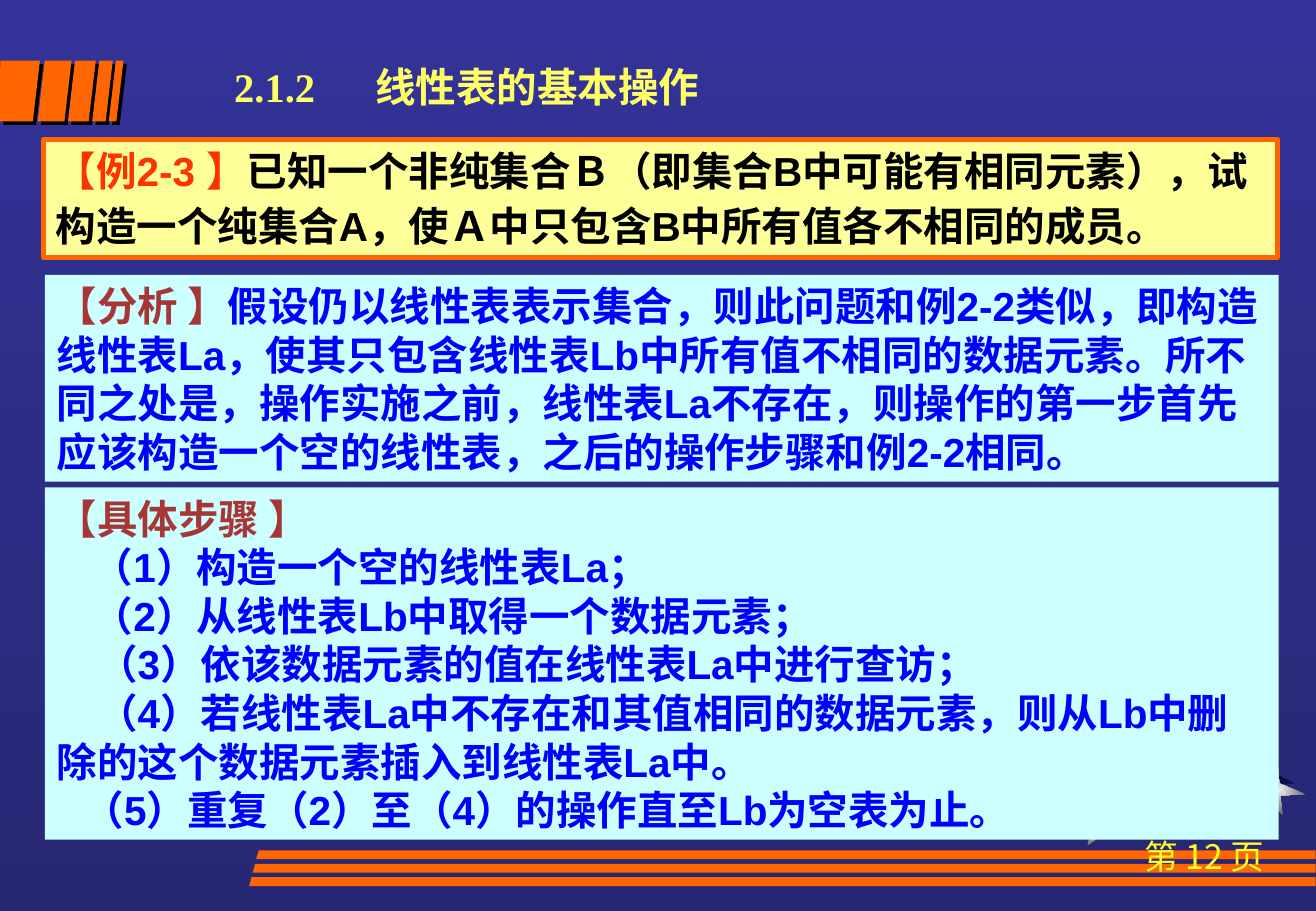
"""Build the slide on example 2-3, a basic operation on linear lists."""
from lxml.etree import SubElement
from pptx import Presentation
from pptx.dml.color import RGBColor as RGB
from pptx.enum.shapes import MSO_SHAPE as SHAPE
from pptx.enum.text import PP_ALIGN as ALIGN
from pptx.oxml import parse_xml
from pptx.oxml.ns import nsdecls, qn
from pptx.util import Pt

COLORS = {
    "sky_top": "333399", "sky_bottom": "272775", "orange": "FF6600",
    "title": "FFFF66", "page": "FFFF25", "cream": "FFFF99", "cyan": "CCFFFF",
    "red": "FF3300", "brown": "A73737", "blue": "0000FF", "black": "000000",
    "navy_dark": "060A2F", "navy": "0D1565",
    "silver": "EAEAEA", "gray": "6C6C6C",
}
SMALL_STAR = [(0, 10.8), (12.24, 8.64), (14.4, 0), (20, 7.2), (32.4, 4.5),
              (23, 11.5), (28, 18), (17.3, 15.5), (8.3, 22.3), (10.8, 13.7)]
BIG_STAR = [(0, 1.8), (15.8, 7.9), (24.5, 0.4), (25.5, 11.9), (41, 18.4),
            (26, 19), (27.4, 30.6), (17, 19.4), (2, 20), (10.6, 12.6)]
STARS = [
    (SMALL_STAR, 627.1, 474.5, "navy_dark", "navy"),
    (BIG_STAR, 727.2, 446, "navy_dark", "navy"),
    (SMALL_STAR, 636.5, 478.8, "silver", "gray"),
    (BIG_STAR, 733, 452.5, "silver", "gray"),
]
PROBLEM = ("已知一个非纯集合Ｂ（即集合B中可能有相同元素），"
           "试构造一个纯集合A，使Ａ中只包含B中所有值各不相同的成员。")
ANALYSIS = ("假设仍以线性表表示集合，则此问题和例2-2类似，即构造线性表La，"
            "使其只包含线性表Lb中所有值不相同的数据元素。所不同之处是，操作实施之前，"
            "线性表La不存在，则操作的第一步首先应该构造一个空的线性表，"
            "之后的操作步骤和例2-2相同。")
STEPS = [
    ("（1）构造一个空的线性表La；", 21.5),
    ("（2）从线性表Lb中取得一个数据元素；", 21.5),
    ("（3）依该数据元素的值在线性表La中进行查访；", 24),
    ("（4）若线性表La中不存在和其值相同的数据元素，"
     "则从Lb中删除的这个数据元素插入到线性表La中。", 24),
    ("（5）重复（2）至（4）的操作直至Lb为空表为止。", 16),
]


def rgb(name):
    return RGB.from_string(COLORS[name])


def paint_background(s):
    fill = s.background.fill
    fill.gradient()
    fill.gradient_angle = 270
    for stop, name in zip(fill.gradient_stops, ("sky_top", "sky_bottom")):
        stop.color.rgb = rgb(name)


def add_outline(s, points, color="orange"):
    builder = s.shapes.build_freeform(*(Pt(v) for v in points[0]))
    builder.add_line_segments([(Pt(x), Pt(y)) for x, y in points[1:]])
    sp = builder.convert_to_shape()
    sp.shadow.inherit = False
    sp.fill.solid()
    sp.fill.fore_color.rgb = rgb(color)
    sp.line.fill.background()
    return sp


def add_star(s, points, left, top, inner, outer):
    sp = add_outline(s, [(left + x, top + y) for x, y in points])
    grad = parse_xml(
        f'<a:gradFill {nsdecls("a")}><a:gsLst>'
        f'<a:gs pos="0"><a:srgbClr val="{COLORS[inner]}"/></a:gs>'
        f'<a:gs pos="100000"><a:srgbClr val="{COLORS[outer]}"/></a:gs></a:gsLst>'
        '<a:path path="rect"><a:fillToRect l="50000" t="50000" r="50000" b="50000"/>'
        '</a:path></a:gradFill>')
    props = sp.element.spPr
    props.replace(props.find(qn("a:solidFill")), grad)


def add_slash(s, left, width, slant=4.2):
    right = left + width
    sp = add_outline(s, [(max(left + slant, 0), 36), (right + slant, 36),
                         (right, 72), (max(left, 0), 72)])
    effects = sp.element.spPr.find(qn("a:effectLst"))
    shadow = SubElement(effects, qn("a:outerShdw"), blurRad="0",
                        dist=str(Pt(2.8)), dir="2700000", algn="ctr", rotWithShape="0")
    SubElement(shadow, qn("a:srgbClr"), val=COLORS["black"])


def add_run(p, text, color="blue", size=24, font="Arial", bold=True):
    r = p.add_run()
    r.text = text
    r.font.size, r.font.bold, r.font.name = Pt(size), bold, font
    r.font.color.rgb = rgb(color)
    for tag, face in (("a:ea", "Noto Sans CJK SC"), ("a:cs", font)):
        SubElement(r.font._element, qn(tag), typeface=face)


def add_label(s, text, left, top, width, height, align=ALIGN.LEFT,
              inset=3.6, tab=None, **style):
    box = s.shapes.add_textbox(Pt(left), Pt(top), Pt(width), Pt(height))
    tf = box.text_frame
    tf.word_wrap = True
    tf.margin_top = Pt(inset)
    p = tf.paragraphs[0]
    p.alignment = align
    if tab:
        tabs = SubElement(p._p.get_or_add_pPr(), qn("a:tabLst"))
        SubElement(tabs, qn("a:tab"), pos=str(Pt(tab)), algn="l")
    add_run(p, text, **style)


def add_panel(s, top, height, fill, left=26.6):
    sp = s.shapes.add_shape(SHAPE.RECTANGLE, Pt(left), Pt(top), Pt(731.5), Pt(height))
    sp.shadow.inherit = False
    sp.fill.solid()
    sp.fill.fore_color.rgb = rgb(fill)
    sp.line.fill.background()
    tf = sp.text_frame
    tf.word_wrap = True
    p = tf.paragraphs[0]
    p.alignment = ALIGN.LEFT
    return sp, p


def add_decoration(s):
    for star in STARS:
        add_star(s, *star)
    for left, width in ((-4, 23.5), (22.3, 15.9), (40.3, 12.3), (54.7, 8), (64.5, 4.5)):
        add_slash(s, left, width)
    for i in range(3):
        left, top = 151.9 - 2.1 * i, 504 + 8 * i
        add_outline(s, [(left, top + 5.3), (780, top + 5.3),
                        (780, top), (left + 1.5, top)])


def main():
    prs = Presentation()
    prs.slide_width, prs.slide_height = Pt(780.2), Pt(540)
    s = prs.slides.add_slide(prs.slide_layouts[6])
    paint_background(s)
    add_decoration(s)
    add_label(s, "第 12 页", 648, 492, 132, 60, align=ALIGN.CENTER,
              color="page", size=20, font="Noto Sans CJK SC", bold=False)
    add_label(s, "2.1.2\t线性表的基本操作", 131.8, 36, 432, 41.8, inset=0.6,
              tab=83.7, color="title", font="Times New Roman")

    sp, p = add_panel(s, 82.8, 69.8, "cream", left=25.9)
    sp.line.color.rgb = rgb("orange")
    sp.line.width = Pt(3)
    add_run(p, "【例2-3 】", "red")
    add_run(p, PROBLEM, "black")
    add_run(p, " ", size=28)

    sp, p = add_panel(s, 162.9, 122.6, "cyan")
    add_run(p, "【分析 】", "brown")
    add_run(p, ANALYSIS)

    sp, p = add_panel(s, 289, 208.8, "cyan")
    add_run(p, "【具体步骤 】", "brown")
    for text, indent in STEPS:
        p = sp.text_frame.add_paragraph()
        p.alignment = ALIGN.LEFT
        p._p.get_or_add_pPr().set("indent", str(Pt(indent)))
        add_run(p, text)
    prs.save("out.pptx")


if __name__ == "__main__":
    main()
